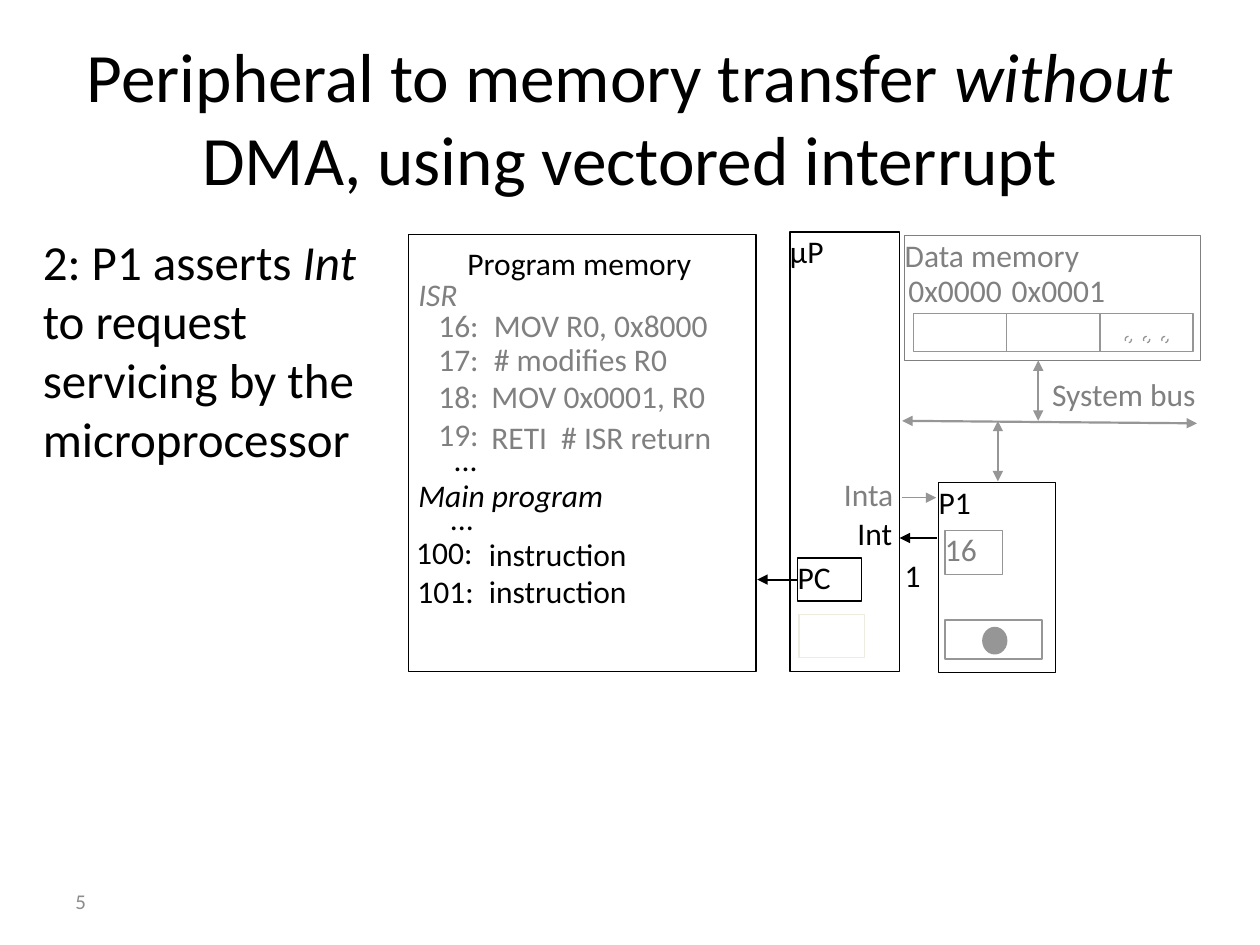
from pptx import Presentation
from pptx import util as u
from pptx.dml.color import RGBColor
from pptx.enum import dml, shapes, text
from pptx.oxml.ns import qn
from lxml import etree

COLORS = {"black": "000000", "gray": "808080", "silver": "969696",
          "pale": "EEECE1", "number": "8C8C8C"}
LEFT, CENTER, RIGHT = text.PP_ALIGN.LEFT, text.PP_ALIGN.CENTER, text.PP_ALIGN.RIGHT
MIDDLE, TOP = text.MSO_ANCHOR.MIDDLE, text.MSO_ANCHOR.TOP
RECT, OVAL = shapes.MSO_SHAPE.RECTANGLE, shapes.MSO_SHAPE.OVAL

deck = Presentation()
deck.slide_width, deck.slide_height = u.Inches(10), u.Inches(7.5)
page = deck.slides.add_slide(deck.slide_layouts[5])


def write(box, runs, color="black", size=18, align=LEFT, anchor=TOP, inset=0.0):
    frame = box.text_frame
    settings = {"word_wrap": True, "auto_size": text.MSO_AUTO_SIZE.NONE,
                "vertical_anchor": anchor}
    for side in ("left", "top", "right", "bottom"):
        settings["margin_" + side] = u.Inches(inset)
    for name, value in settings.items():
        setattr(frame, name, value)
    para = frame.paragraphs[0]
    para.alignment = align
    for words, italic in runs:
        span = para.add_run()
        span.text = words
        for name, value in {"name": "Calibri", "size": u.Pt(size), "italic": italic}.items():
            setattr(span.font, name, value)
        span.font.color.rgb = RGBColor.from_string(COLORS[color])


def draw(kind, place, color, filled=False):
    shape = page.shapes.add_shape(kind, *map(u.Inches, place))
    shape.shadow.inherit = False
    shape.line.color.rgb = RGBColor.from_string(COLORS[color])
    shape.line.width = u.Pt(0.75)
    if filled:
        shape.fill.solid()
        shape.fill.fore_color.rgb = RGBColor.from_string(COLORS[color])
    else:
        shape.fill.background()
    return shape


title = page.shapes.title
title.left, title.top, title.width, title.height = map(u.Inches, (0.5, 0.3, 9, 1.25))
write(title, [("Peripheral to memory transfer ", False), ("without", True),
              (" DMA, using vectored interrupt", False)],
      size=39.6, align=CENTER, anchor=MIDDLE, inset=0.1)

number = page.shapes.add_textbox(*map(u.Inches, (0.5, 6.95, 2.33, 0.4)))
write(number, [("5", False)], "number", 12, anchor=MIDDLE, inset=0.1)

step = page.shapes.add_textbox(*map(u.Inches, (0.34, 1.84, 2.66, 2.58)))
write(step, [("2: P1 asserts ", False), ("Int", True),
             (" to request servicing by the microprocessor", False)], size=28)

blocks = [
    ((3.24, 1.86, 2.76, 3.47), "black", "", "black"),
    ((6.27, 1.84, 0.87, 3.49), "black", "μP", "black"),
    ((6.33, 4.43, 0.51, 0.34), "black", "PC", "black"),
    ((6.34, 4.88, 0.52, 0.34), "pale", "", "black"),
    ((7.18, 1.87, 2.35, 0.99), "gray", "Data memory", "gray"),
    ((7.45, 3.83, 0.93, 1.51), "black", "P1", "black"),
    ((7.5, 4.21, 0.46, 0.35), "silver", "16", "gray"),
    ((7.5, 4.92, 0.77, 0.31), "silver", "", "gray"),
]
for place, outline, words, color in blocks:
    block = draw(RECT, place, outline)
    if words:
        write(block, [(words, False)], color)

for column in range(3):
    draw(RECT, (7.25 + 0.74 * column, 2.49, 0.74, 0.3), "silver")
    dot = draw(OVAL, (8.93 + 0.145 * column, 2.67, 0.05, 0.05), "silver")
    dot.line.dash_style = dml.MSO_LINE.DASH
draw(OVAL, (7.8, 4.98, 0.19, 0.21), "silver", filled=True)

labels = [
    ("Program memory", 3.71, 1.94, 1.89, "black", LEFT, False),
    ("ISR", 3.32, 2.18, 0.59, "gray", LEFT, True),
    ("16:", 3.3, 2.43, 0.5, "gray", RIGHT, False),
    ("MOV R0, 0x8000", 3.92, 2.43, 1.96, "gray", LEFT, False),
    ("17:", 3.3, 2.7, 0.5, "gray", RIGHT, False),
    ("# modifies R0", 3.92, 2.7, 1.55, "gray", LEFT, False),
    ("18:", 3.3, 2.99, 0.5, "gray", RIGHT, False),
    ("MOV 0x0001, R0", 3.9, 2.99, 2.06, "gray", LEFT, False),
    ("19:", 3.3, 3.29, 0.5, "gray", RIGHT, False),
    ("RETI  # ISR return", 3.9, 3.32, 2.13, "gray", LEFT, False),
    ("...", 3.44, 3.49, 0.35, "black", RIGHT, False),
    ("Main program", 3.32, 3.78, 1.62, "black", LEFT, True),
    ("...", 3.41, 3.96, 0.35, "black", RIGHT, False),
    ("100:", 3.17, 4.23, 0.58, "black", RIGHT, False),
    ("instruction", 3.88, 4.25, 1.24, "black", LEFT, False),
    ("101:", 3.28, 4.54, 0.48, "black", RIGHT, False),
    ("instruction", 3.88, 4.54, 1.24, "black", LEFT, False),
    ("0x0000", 7.21, 2.15, 0.77, "gray", LEFT, False),
    ("0x0001", 8.03, 2.15, 0.8, "gray", LEFT, False),
    ("System bus", 8.35, 2.98, 1.23, "gray", LEFT, False),
    ("Inta", 6.67, 3.77, 0.42, "gray", RIGHT, False),
    ("Int", 6.69, 4.08, 0.39, "black", RIGHT, False),
    ("1", 7.18, 4.41, 0.28, "black", LEFT, False),
]
for words, left, top, width, color, align, italic in labels:
    label = page.shapes.add_textbox(*map(u.Inches, (left, top, width, 0.3)))
    write(label, [(words, italic)], color, align=align)

arrows = [
    ((7.16, 3.34, 9.5, 3.36), "silver", 1.25, True),
    ((7.92, 3.34, 7.92, 3.82), "silver", 1.25, True),
    ((8.24, 2.86, 8.24, 3.34), "silver", 1.25, True),
    ((6.33, 4.6, 6.01, 4.6), "black", 1.25, False),
    ((7.16, 3.95, 7.43, 3.95), "silver", 0.75, False),
    ((7.44, 4.27, 7.14, 4.27), "black", 0.75, False),
]
for ends, color, weight, double in arrows:
    arrow = page.shapes.add_connector(shapes.MSO_CONNECTOR.STRAIGHT, *map(u.Inches, ends))
    arrow.line.color.rgb = RGBColor.from_string(COLORS[color])
    arrow.line.width = u.Pt(weight)
    for tip in ("a:headEnd", "a:tailEnd") if double else ("a:tailEnd",):
        etree.SubElement(arrow.line._get_or_add_ln(), qn(tip), type="triangle")
    etree.SubElement(arrow._element.spPr, qn("a:effectLst"))

deck.save("out.pptx")
